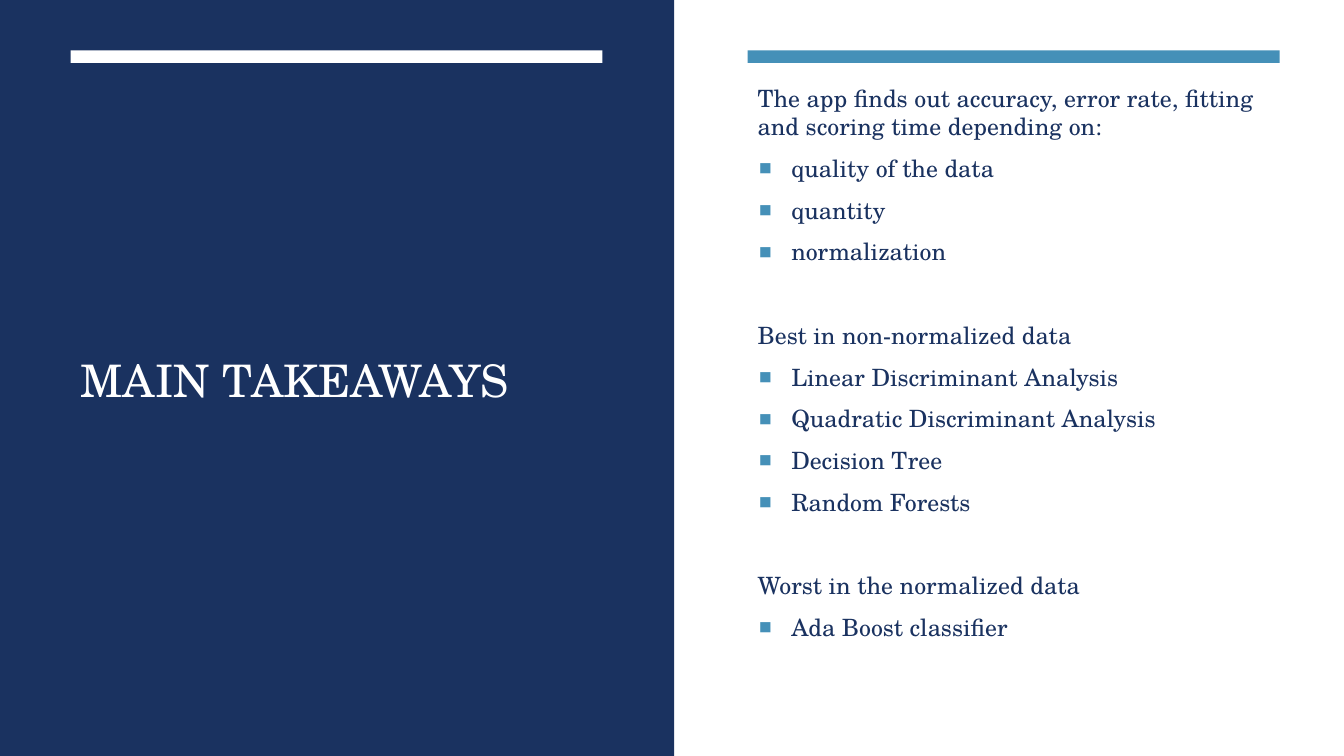
"""Build the main takeaways slide."""
import lxml.etree
import pptx
import pptx.dml.color
import pptx.enum.shapes
import pptx.enum.text
import pptx.oxml.ns
import pptx.util

Pt = pptx.util.Pt
COLORS = {"navy": "1A3260", "blue": "4590B8", "white": "FFFFFF"}
FONT = "TeX Gyre Schola"
SECTIONS = [
    ("The app finds out accuracy, error rate, fitting and scoring time depending on:",
     ["quality of the data", "quantity", "normalization"]),
    ("Best in non-normalized data",
     ["Linear Discriminant Analysis", "Quadratic Discriminant Analysis",
      "Decision Tree", "Random Forests"]),
    ("Worst in the normalized data", ["Ada Boost classifier"]),
]
LINE_GAP = 3.4
SECTION_GAP = 33.2
INDENT = 24


def rgb(color):
    """Return the named palette colour."""
    return pptx.dml.color.RGBColor.from_string(COLORS[color])


def add_block(slide, left, top, width, height, color):
    """Add a plain filled rectangle."""
    block = slide.shapes.add_shape(
        pptx.enum.shapes.MSO_SHAPE.RECTANGLE, Pt(left), Pt(top), Pt(width), Pt(height))
    block.shadow.inherit = False
    block.fill.solid()
    block.fill.fore_color.rgb = rgb(color)
    block.line.fill.background()
    return block


def place(holder, left, top, width, height):
    """Move a placeholder and centre its text vertically."""
    holder.left, holder.top = Pt(left), Pt(top)
    holder.width, holder.height = Pt(width), Pt(height)
    frame = holder.text_frame
    frame.word_wrap = True
    frame.auto_size = pptx.enum.text.MSO_AUTO_SIZE.NONE
    frame.vertical_anchor = pptx.enum.text.MSO_ANCHOR.MIDDLE
    return frame


def style(paragraph, size, color):
    """Set the alignment and font of a paragraph."""
    paragraph.alignment = pptx.enum.text.PP_ALIGN.LEFT
    paragraph.font.name = FONT
    paragraph.font.size = Pt(size)
    paragraph.font.color.rgb = rgb(color)


def set_bullet(paragraph, bulleted):
    """Give a paragraph a square bullet, or none."""
    qn = pptx.oxml.ns.qn
    props = paragraph._p.get_or_add_pPr()
    indent = Pt(INDENT) if bulleted else 0
    props.set("marL", str(indent))
    props.set("indent", str(-indent))
    if not bulleted:
        lxml.etree.SubElement(props, qn("a:buNone"))
        return
    tint = lxml.etree.SubElement(props, qn("a:buClr"))
    lxml.etree.SubElement(tint, qn("a:srgbClr"), val=COLORS["blue"])
    lxml.etree.SubElement(props, qn("a:buSzPct"), val="92000")
    lxml.etree.SubElement(props, qn("a:buFont"), typeface=FONT)
    lxml.etree.SubElement(props, qn("a:buChar"), char="■")


def add_line(frame, text, gap, bulleted):
    """Write the next line of the takeaways."""
    first = frame.paragraphs[0]
    line = frame.add_paragraph() if first.text else first
    line.text = text
    line.line_spacing = 1.0
    line.space_before = Pt(gap)
    line.space_after = Pt(6)
    set_bullet(line, bulleted)
    style(line, 17, "navy")


def add_takeaways(frame):
    """Write every section heading with its bulleted items."""
    for number, (heading, items) in enumerate(SECTIONS):
        add_line(frame, heading, SECTION_GAP if number else LINE_GAP, False)
        for item in items:
            add_line(frame, item, LINE_GAP, True)


def main():
    """Build and save the slide."""
    deck = pptx.Presentation()
    deck.slide_width, deck.slide_height = Pt(960), Pt(540)
    slide = deck.slides.add_slide(deck.slide_layouts[1])
    title, body = slide.placeholders

    panel = add_block(slide, 0, 0, 481.5, 540, "navy")
    title.element.addprevious(panel.element)
    add_block(slide, 50.4, 36, 380, 9, "white")
    add_block(slide, 534, 36, 380, 9, "blue")

    heading = place(title, 50.4, 81.4, 380, 380)
    heading.text = "MAIN TAKEAWAYS"
    style(heading.paragraphs[0], 32, "white")

    takeaways = place(body, 534, 98.6, 382.3, 380)
    takeaways.margin_bottom = Pt(63.2)
    add_takeaways(takeaways)
    deck.save("out.pptx")


if __name__ == "__main__":
    main()
